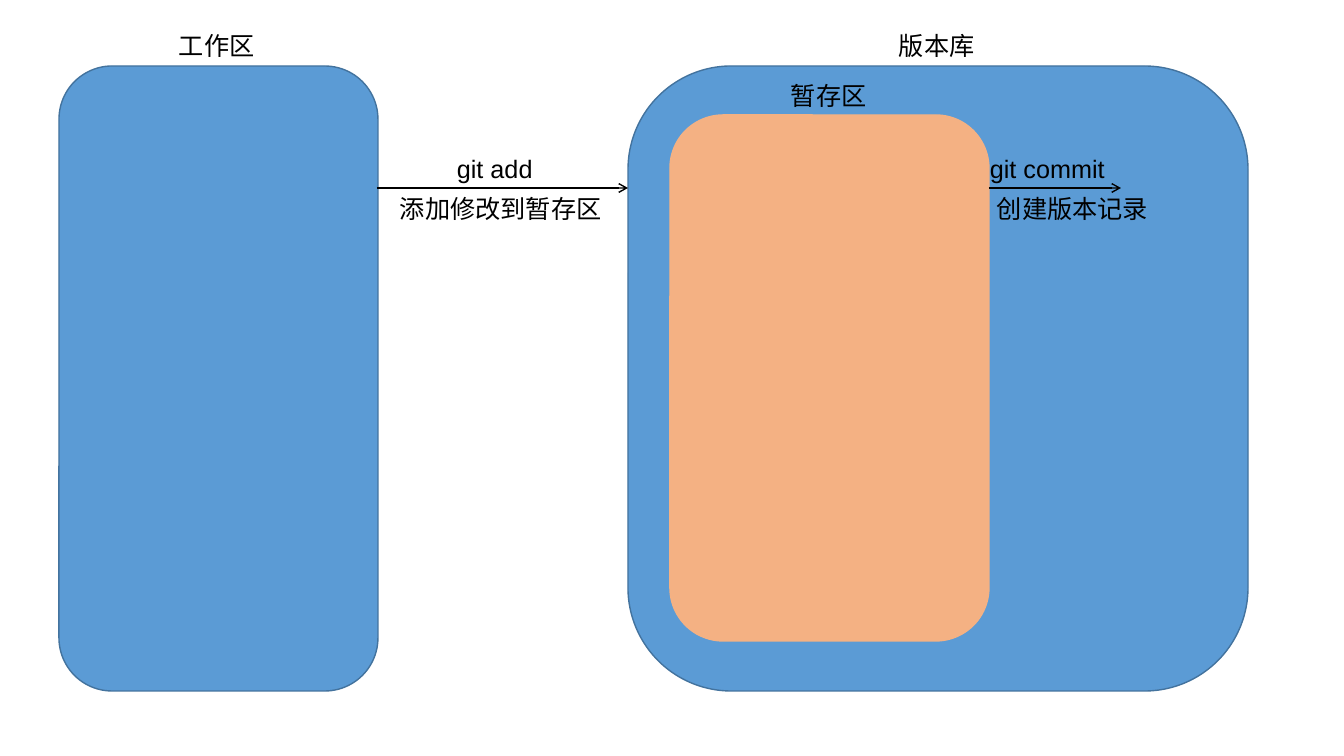
from lxml.etree import SubElement
from pptx import Presentation
from pptx.dml.color import RGBColor
from pptx.enum.shapes import MSO_CONNECTOR, MSO_SHAPE
from pptx.enum.text import MSO_AUTO_SIZE
from pptx.oxml.ns import qn
from pptx.util import Pt

PX = 914400 / 100.8
WIDE, HIGH = 1344, 756
COLORS = {"blue": "5B9BD5", "edge": "43739E", "peach": "F4B183", "black": "000000"}
FONT = {"name": "Arial", "size": Pt(18)}
FRAME = {"word_wrap": True, "auto_size": MSO_AUTO_SIZE.SHAPE_TO_FIT_TEXT}
TEXT_H = 40
ARROW_Y = 188

# left, top, width, height, fill, line
AREAS = [
    (59, 66, 319, 625, "blue", "edge"),
    (628, 66, 620, 625, "blue", "edge"),
    (670, 115, 319, 526, "peach", "peach"),
]
# text, left, top, width
TITLES = [
    ("工作区", 169, 25, 98),
    ("暂存区", 781, 75, 98),
    ("版本库", 889, 25, 98),
]
# start, end, then text, left, width above and below the arrow
STEPS = [
    (377, 628, ("git add", 447, 112), ("添加修改到暂存区", 390, 224)),
    (989, 1121, ("git commit", 980, 217), ("创建版本记录", 987, 177)),
]


def emu(*sizes):
    return [round(size * PX) for size in sizes]


def color(name):
    return RGBColor.from_string(COLORS[name])


def draw_line(line, name):
    line.color.rgb = color(name)
    line.width = Pt(1)


def add_area(slide, left, top, width, height, fill, edge):
    area = slide.shapes.add_shape(
        MSO_SHAPE.ROUNDED_RECTANGLE, *emu(left, top, width, height))
    area.shadow.inherit = False
    area.fill.solid()
    area.fill.fore_color.rgb = color(fill)
    draw_line(area.line, edge)


def add_label(slide, text, left, top, width):
    frame = slide.shapes.add_textbox(*emu(left, top, width, TEXT_H)).text_frame
    for key, value in FRAME.items():
        setattr(frame, key, value)
    run = frame.paragraphs[0].add_run()
    run.text = text
    for key, value in FONT.items():
        setattr(run.font, key, value)
    run.font.color.rgb = color("black")


def add_arrow(slide, start, end):
    arrow = slide.shapes.add_connector(
        MSO_CONNECTOR.STRAIGHT, *emu(start, ARROW_Y, end, ARROW_Y))
    draw_line(arrow.line, "black")
    SubElement(arrow.line._get_or_add_ln(), qn("a:tailEnd"), type="arrow")
    SubElement(arrow._element.spPr, qn("a:effectLst"))


def main():
    deck = Presentation()
    deck.slide_width, deck.slide_height = emu(WIDE, HIGH)
    slide = deck.slides.add_slide(deck.slide_layouts[6])
    for area in AREAS:
        add_area(slide, *area)
    for title in TITLES:
        add_label(slide, *title)
    for start, end, above, below in STEPS:
        add_arrow(slide, start, end)
        for (text, left, width), top in ((below, ARROW_Y), (above, ARROW_Y - TEXT_H)):
            add_label(slide, text, left, top, width)
    deck.save("out.pptx")


if __name__ == "__main__":
    main()
